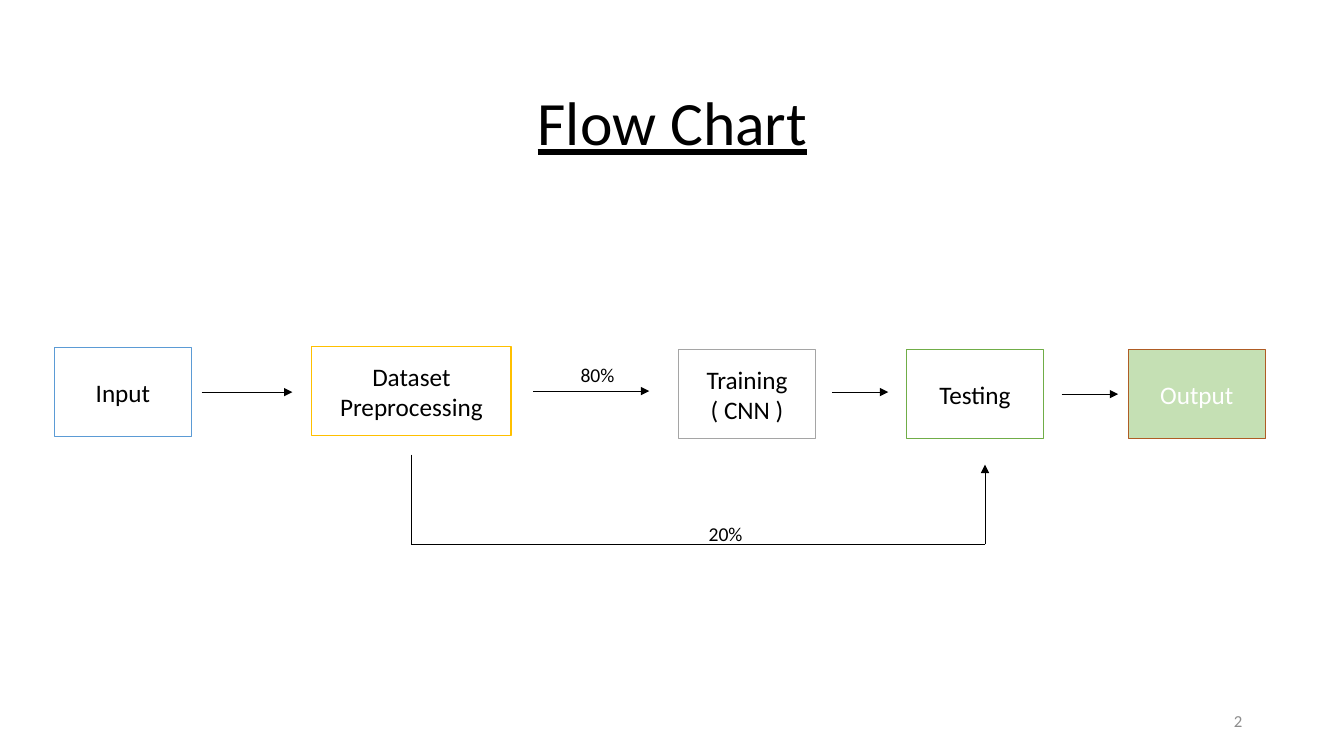
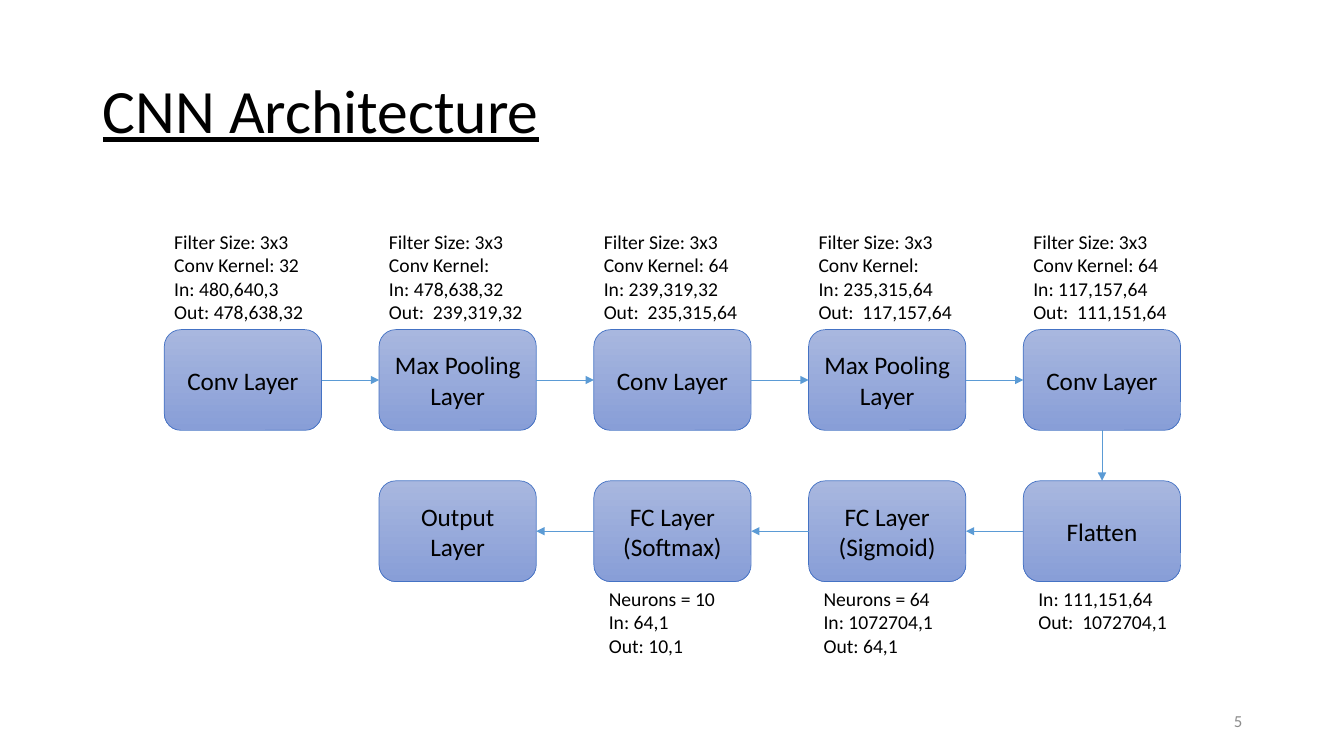
from dataclasses import dataclass
from typing import Optional

from lxml import etree
from pptx import Presentation
from pptx.dml.color import RGBColor
from pptx.enum.shapes import MSO_CONNECTOR, MSO_SHAPE
from pptx.enum.text import MSO_ANCHOR, MSO_AUTO_SIZE, PP_ALIGN
from pptx.oxml.ns import qn
from pptx.util import Inches, Pt

RECT, ROUND = MSO_SHAPE.RECTANGLE, MSO_SHAPE.ROUNDED_RECTANGLE
LEFT, MID, RIGHT = PP_ALIGN.LEFT, PP_ALIGN.CENTER, PP_ALIGN.RIGHT
TOP, CENTRE = MSO_ANCHOR.TOP, MSO_ANCHOR.MIDDLE
FIXED, GROW = MSO_AUTO_SIZE.NONE, MSO_AUTO_SIZE.SHAPE_TO_FIT_TEXT
STRAIGHT = MSO_CONNECTOR.STRAIGHT

BLACK, WHITE, GREY = "000000", "FFFFFF", "8C8C8C"
BLUE, EDGE = "5B9BD5", "4472C4"
SHADE = ("A8B7DF", "889ED7")

# Text formats
HEAD = {"name": "Calibri", "size": Pt(44), "underline": True}
BODY = {"name": "Calibri", "size": Pt(18)}
NOTE = {"name": "Calibri", "size": Pt(14)}
FOOT = {"name": "Calibri", "size": Pt(12)}

# Layer grid: columns, rows and box size
COL, STEP = 1.63, 2.13
ROWS = (3.27, 4.77)
WIDE, HIGH = 1.56, 1.0


@dataclass
class Box:
    text: str
    x: float
    y: float
    w: float
    line: str
    fill: str = WHITE
    ink: str = BLACK


@dataclass
class Line:
    x1: float
    y1: float
    x2: float
    y2: float
    head: bool = True


@dataclass
class Layer:
    text: str
    col: int
    row: int
    note: Optional[str] = None


FLOW = [
    Box("Input", 0.54, 3.45, 1.36, BLUE),
    Box("Dataset\vPreprocessing", 3.09, 3.44, 1.98, "FFC000"),
    Box("Training\v( CNN )", 6.73, 3.47, 1.36, "A5A5A5"),
    Box("Testing", 8.99, 3.47, 1.36, "70AD47"),
    Box("Output", 11.19, 3.47, 1.36, "AF5C24", "C5E0B4", WHITE),
]

LINES = [
    Line(2, 3.89, 2.9, 3.89),
    Line(5.29, 3.88, 6.44, 3.88),
    Line(8.25, 3.89, 8.81, 3.89),
    Line(10.53, 3.91, 11.09, 3.91),
    # Bypass from preprocessing to testing
    Line(4.08, 4.51, 4.08, 5.4, False),
    Line(4.08, 5.4, 9.77, 5.4, False),
    Line(9.77, 5.4, 9.77, 4.61),
]

# Layers in the order of the data flow
LAYERS = [
    Layer("Conv Layer", 0, 0,
          "Filter Size: 3x3\nConv Kernel: 32\nIn: 480,640,3\nOut: 478,638,32"),
    Layer("Max Pooling Layer", 1, 0,
          "Filter Size: 3x3\nConv Kernel:\nIn: 478,638,32\nOut:  239,319,32"),
    Layer("Conv Layer", 2, 0,
          "Filter Size: 3x3\nConv Kernel: 64\nIn: 239,319,32\nOut:  235,315,64"),
    Layer("Max Pooling Layer", 3, 0,
          "Filter Size: 3x3\nConv Kernel:\nIn: 235,315,64\nOut:  117,157,64"),
    Layer("Conv Layer", 4, 0,
          "Filter Size: 3x3\nConv Kernel: 64\nIn: 117,157,64\nOut:  111,151,64"),
    Layer("Flatten", 4, 1, "In: 111,151,64\nOut:  1072704,1"),
    Layer("FC Layer\n(Sigmoid)", 3, 1, "Neurons = 64\nIn: 1072704,1\nOut: 64,1"),
    Layer("FC Layer\n(Softmax)", 2, 1, "Neurons = 10\nIn: 64,1\nOut: 10,1"),
    Layer("Output\nLayer", 1, 1),
]


def paint(form, code: str) -> None:
    """Set a colour format from a hex string."""
    form.rgb = RGBColor.from_string(code)


def write(shape, text: str, style: dict, ink: str = BLACK, align=LEFT,
          anchor=TOP, fit=FIXED) -> None:
    frame = shape.text_frame
    frame.text = text
    for key, val in {"word_wrap": True, "auto_size": fit,
                     "vertical_anchor": anchor}.items():
        setattr(frame, key, val)
    for para in frame.paragraphs:
        para.alignment = align
        for run in para.runs:
            for key, val in style.items():
                setattr(run.font, key, val)
            paint(run.font.color, ink)


def label(slide, text: str, x: float, y: float, w: float, h: float,
          style: dict = NOTE, **form) -> None:
    box = slide.shapes.add_textbox(Inches(x), Inches(y), Inches(w), Inches(h))
    write(box, text, style, **form)


def block(slide, kind, text: str, x: float, y: float, w: float, h: float,
          edge: str, width: float, ink: str = BLACK):
    shape = slide.shapes.add_shape(kind, Inches(x), Inches(y), Inches(w), Inches(h))
    shape.shadow.inherit = False
    paint(shape.line.color, edge)
    shape.line.width = Pt(width)
    write(shape, text, BODY, ink, MID, CENTRE)
    return shape


def link(slide, line: Line, ink: str):
    ends = [Inches(v) for v in (line.x1, line.y1, line.x2, line.y2)]
    wire = slide.shapes.add_connector(STRAIGHT, *ends)
    paint(wire.line.color, ink)
    wire.line.width = Pt(0.5)
    props = wire.element.spPr
    if line.head:
        etree.SubElement(props.get_or_add_ln(), qn("a:tailEnd"), type="triangle")
    etree.SubElement(props, qn("a:effectLst"))
    return wire


def start(deck, title: str, y: float, align, page: str):
    """Add a slide with its title and page number."""
    slide = deck.slides.add_slide(deck.slide_layouts[5])
    head = slide.shapes.title
    for key, val in {"left": 0.92, "top": y, "width": 11.5, "height": 1.45}.items():
        setattr(head, key, Inches(val))
    write(head, title, HEAD, align=align, anchor=CENTRE)
    head.text_frame.paragraphs[0].line_spacing = 0.9
    label(slide, page, 9.42, 6.95, 3, 0.4, FOOT, ink=GREY, align=RIGHT, anchor=CENTRE)
    return slide


def flow(deck) -> None:
    slide = start(deck, "Flow Chart", 0.52, MID, "2")
    for box in FLOW:
        shape = block(slide, RECT, box.text, box.x, box.y, box.w, 0.88,
                      box.line, 1, box.ink)
        shape.fill.solid()
        paint(shape.fill.fore_color, box.fill)
    for line in LINES:
        link(slide, line, BLACK)
    # Shares of the data
    for text, x, y in (("80%", 5.66, 3.55), ("20%", 6.93, 5.13)):
        label(slide, text, x, y, WIDE, 0.34, fit=GROW)


def network(deck) -> None:
    slide = start(deck, "CNN Architecture", 0.4, LEFT, "5")
    shapes = []
    for layer in LAYERS:
        x, y = COL + STEP * layer.col, ROWS[layer.row]
        shape = block(slide, ROUND, layer.text, x, y, WIDE, HIGH, EDGE, 0.5)
        shape.fill.gradient()
        shape.fill.gradient_angle = 270
        for stop, code in zip(shape.fill.gradient_stops, SHADE):
            paint(stop.color, code)
        shapes.append(shape)
        # Notes sit above the first row and below the second
        if layer.note:
            tall = 0.1 + 0.235 * len(layer.note.split("\n"))
            if layer.row:
                label(slide, layer.note, x + 0.05, y + HIGH, WIDE, tall, fit=GROW)
            else:
                label(slide, layer.note, x, y - 1.04, WIDE, tall, fit=GROW)
    # Arrows run right, then down, then left
    for i, (one, two) in enumerate(zip(LAYERS, LAYERS[1:])):
        if one.row != two.row:
            out, into = 2, 0
        elif one.col < two.col:
            out, into = 3, 1
        else:
            out, into = 1, 3
        wire = link(slide, Line(0, 0, 1, 1), BLUE)
        wire.begin_connect(shapes[i], out)
        wire.end_connect(shapes[i + 1], into)


def main() -> None:
    deck = Presentation()
    deck.slide_width, deck.slide_height = Inches(13.33), Inches(7.5)
    flow(deck)
    network(deck)
    deck.save("out.pptx")


if __name__ == "__main__":
    main()
